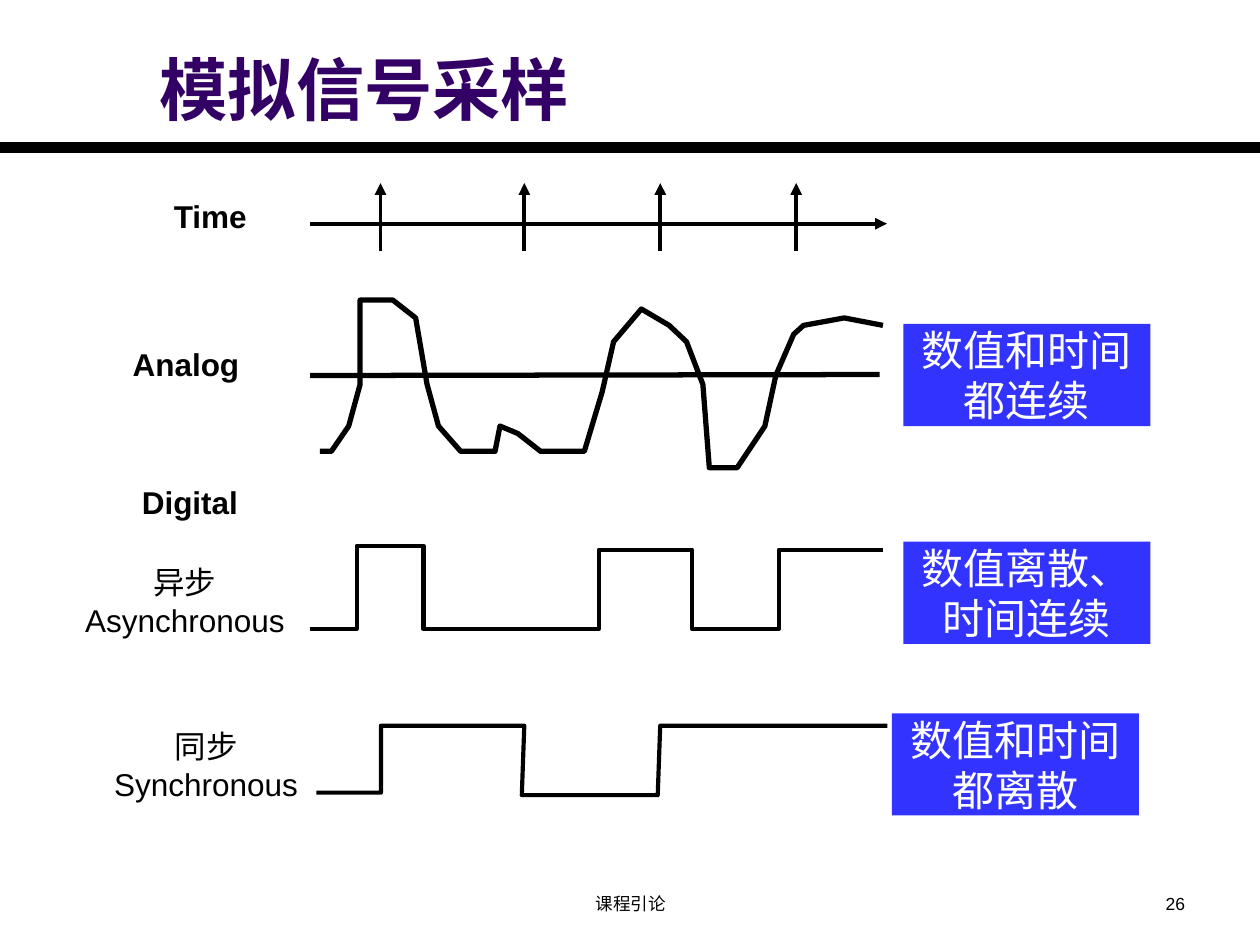
from pptx import Presentation
from pptx.dml.color import RGBColor
from pptx.enum.shapes import MSO_CONNECTOR, MSO_SHAPE
from pptx.enum.text import MSO_ANCHOR, PP_ALIGN
from pptx.oxml.ns import qn
from pptx.util import Cm, Pt
from lxml.etree import SubElement

FONT = "Arial"
BLACK, WHITE, PURPLE, BLUE = "000000", "FFFFFF", "330066", "3333FF"


def color(value):
    return RGBColor.from_string(value)


def write(sp, text, size, hue=BLACK, bold=False, align=PP_ALIGN.CENTER,
          anchor=MSO_ANCHOR.TOP, wrap=True, inset=None):
    tf = sp.text_frame
    tf.text = text
    tf.word_wrap = wrap
    tf.vertical_anchor = anchor
    if inset is not None:
        tf.margin_left = tf.margin_right = Cm(inset)
        tf.margin_top = tf.margin_bottom = Cm(inset)
    for p in tf.paragraphs:
        p.alignment = align
        for r in p.runs:
            r.font.name, r.font.size, r.font.bold = FONT, Pt(size), bold
            r.font.color.rgb = color(hue)
            SubElement(r.font._element, qn("a:ea"), typeface=FONT)


def add_text(s, box, text, size, **style):
    write(s.shapes.add_textbox(*map(Cm, box)), text, size, **style)


def add_line(s, x1, y1, x2, y2, width, arrow=False):
    c = s.shapes.add_connector(MSO_CONNECTOR.STRAIGHT,
                               Cm(x1), Cm(y1), Cm(x2), Cm(y2))
    c.line.color.rgb = color(BLACK)
    c.line.width = Pt(width)
    if arrow:
        SubElement(c.line._get_or_add_ln(), qn("a:tailEnd"), type="triangle")
    SubElement(c._element.spPr, qn("a:effectLst"))


def add_curve(s, left, top, points, width):
    pts = [(Cm(left + x), Cm(top + y)) for x, y in points]
    builder = s.shapes.build_freeform(*pts[0])
    builder.add_line_segments(pts[1:], close=False)
    sp = builder.convert_to_shape()
    sp.fill.background()
    sp.line.color.rgb = color(BLACK)
    sp.line.width = Pt(width)
    sp.shadow.inherit = False


def add_label(s, box, text, bold=False):
    add_text(s, box, text, 18, bold=bold, wrap=False, inset=0)


def add_note(s, left, top, text):
    sp = s.shapes.add_shape(MSO_SHAPE.RECTANGLE,
                            Cm(left), Cm(top), Cm(4.98), Cm(2.06))
    sp.fill.solid()
    sp.fill.fore_color.rgb = color(BLUE)
    sp.line.fill.background()
    sp.shadow.inherit = False
    write(sp, text, 24, hue=WHITE, anchor=MSO_ANCHOR.MIDDLE, inset=0)


def header(s, left, top):
    add_line(s, left, top + 2.97, left + 25.4, top + 2.97, 6)
    add_text(s, (left + 2.97, top + 0.38, 21.59, 2.34), "模拟信号采样", 39,
             hue=PURPLE, bold=True, align=PP_ALIGN.LEFT,
             anchor=MSO_ANCHOR.BOTTOM)


def footer(s, left, top):
    add_text(s, (left + 8.69, top, 8.05, 0.74), "课程引论", 10)
    add_text(s, (left + 18.21, top, 5.93, 0.74), "26", 10,
             align=PP_ALIGN.RIGHT)


def time_axis(s, left, top):
    add_label(s, (left - 3.1, top + 0.28, 2.18, 1.19), "Time", bold=True)
    add_line(s, left, top + 0.82, left + 11.63, top + 0.82, 2.25, arrow=True)
    # Sampling instants
    for x in (1.42, 4.32, 7.06, 9.8):
        add_line(s, left + x, top + 1.37, left + x, top, 2.25, arrow=True)


def analog_row(s, left, top):
    points = [
        (0, 3.05), (0.23, 3.05), (0.58, 2.54), (0.81, 1.7), (0.81, 0),
        (1.47, 0), (1.93, 0.36), (2.16, 1.7), (2.39, 2.54), (2.84, 3.05),
        (3.53, 3.05), (3.63, 2.54), (3.99, 2.69), (4.45, 3.05), (5.33, 3.05),
        (5.69, 1.85), (5.92, 0.84), (6.48, 0.18), (7.04, 0.51), (7.39, 0.84),
        (7.72, 1.7), (7.85, 3.38), (8.41, 3.38), (8.97, 2.54), (9.19, 1.52),
        (9.55, 0.69), (9.75, 0.51), (10.57, 0.36), (11.35, 0.51)]
    add_curve(s, left, top, points, 3)
    add_line(s, left - 0.2, top + 1.52, left + 11.28, top + 1.5, 3)
    add_label(s, (left - 4.21, top + 0.91, 3.02, 1.19), "Analog", bold=True)
    add_note(s, left + 11.76, top + 0.48, "数值和时间都连续")


def digital_row(s, left, top, points, label, label_box, note, note_at):
    add_curve(s, left, top, points, 2.38)
    dx, dy, w, h = label_box
    add_label(s, (left + dx, top + dy, w, h), label)
    add_note(s, left + note_at[0], top + note_at[1], note)


def main():
    prs = Presentation()
    prs.slide_width, prs.slide_height = Cm(25.4), Cm(19.05)
    s = prs.slides.add_slide(prs.slide_layouts[6])

    header(s, 0, 0)
    time_axis(s, 6.25, 3.69)
    analog_row(s, 6.45, 6.05)
    add_label(s, (2.41, 9.73, 2.84, 1.19), "Digital", bold=True)

    # Asynchronous: levels are discrete, edges fall at any time
    digital_row(
        s, 6.25, 11,
        [(0, 1.68), (0.94, 1.68), (0.94, 0), (2.29, 0), (2.29, 1.68),
         (5.82, 1.68), (5.82, 0.08), (7.7, 0.08), (7.7, 1.68),
         (9.45, 1.68), (9.45, 0.08), (11.56, 0.08)],
        "异步\nAsynchronous", (-4.55, 0.35, 4.06, 1.55),
        "数值离散、时间连续", (11.96, -0.08))

    # Synchronous: edges fall on the sampling instants
    digital_row(
        s, 6.38, 14.63,
        [(0, 1.35), (1.3, 1.35), (1.3, 0), (4.19, 0), (4.14, 1.4),
         (6.88, 1.4), (6.93, 0), (11.51, 0)],
        "同步\nSynchronous", (-4.09, 0.03, 3.73, 1.55),
        "数值和时间都离散", (11.6, -0.25))

    footer(s, 0, 17.88)
    prs.save("out.pptx")


if __name__ == "__main__":
    main()
